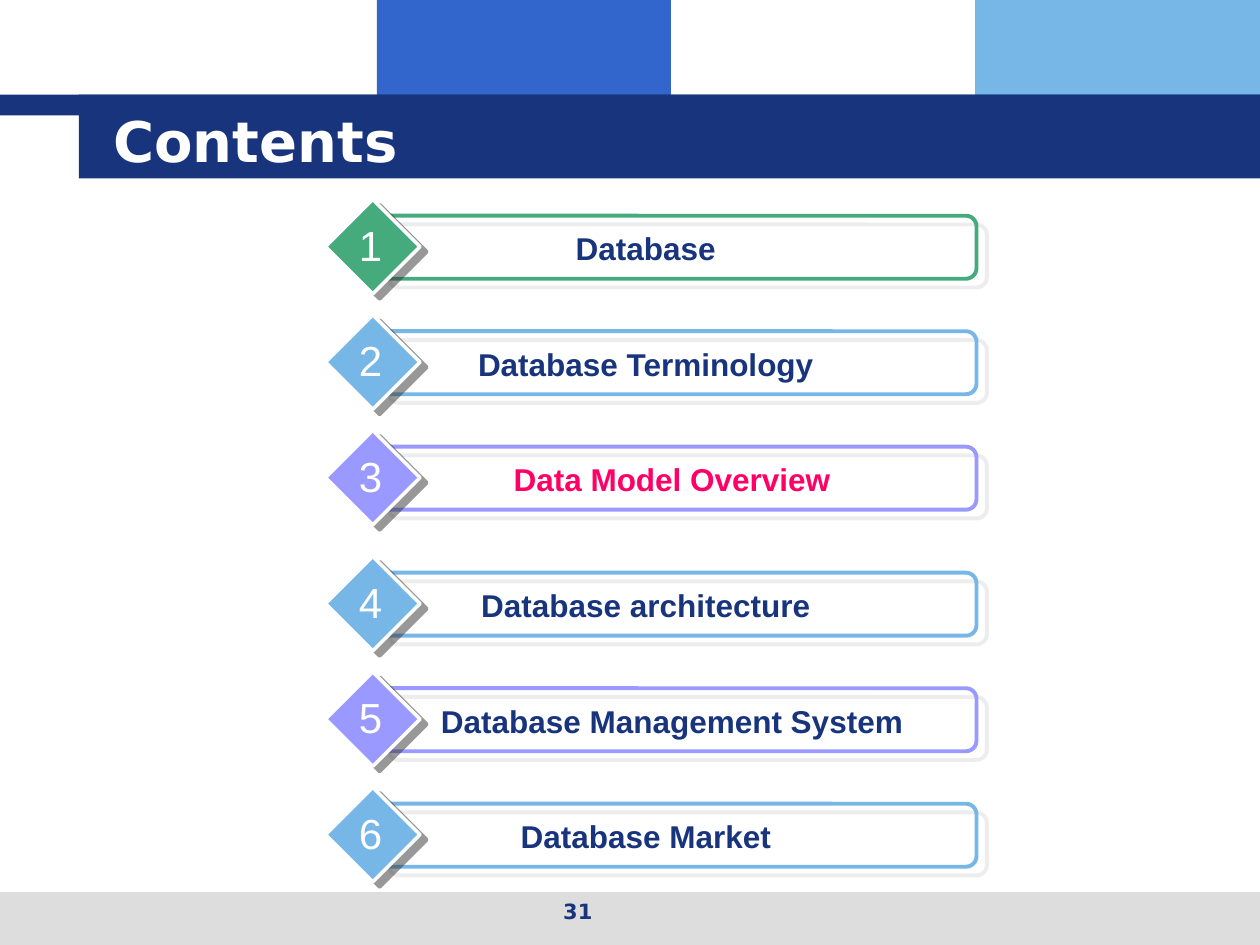
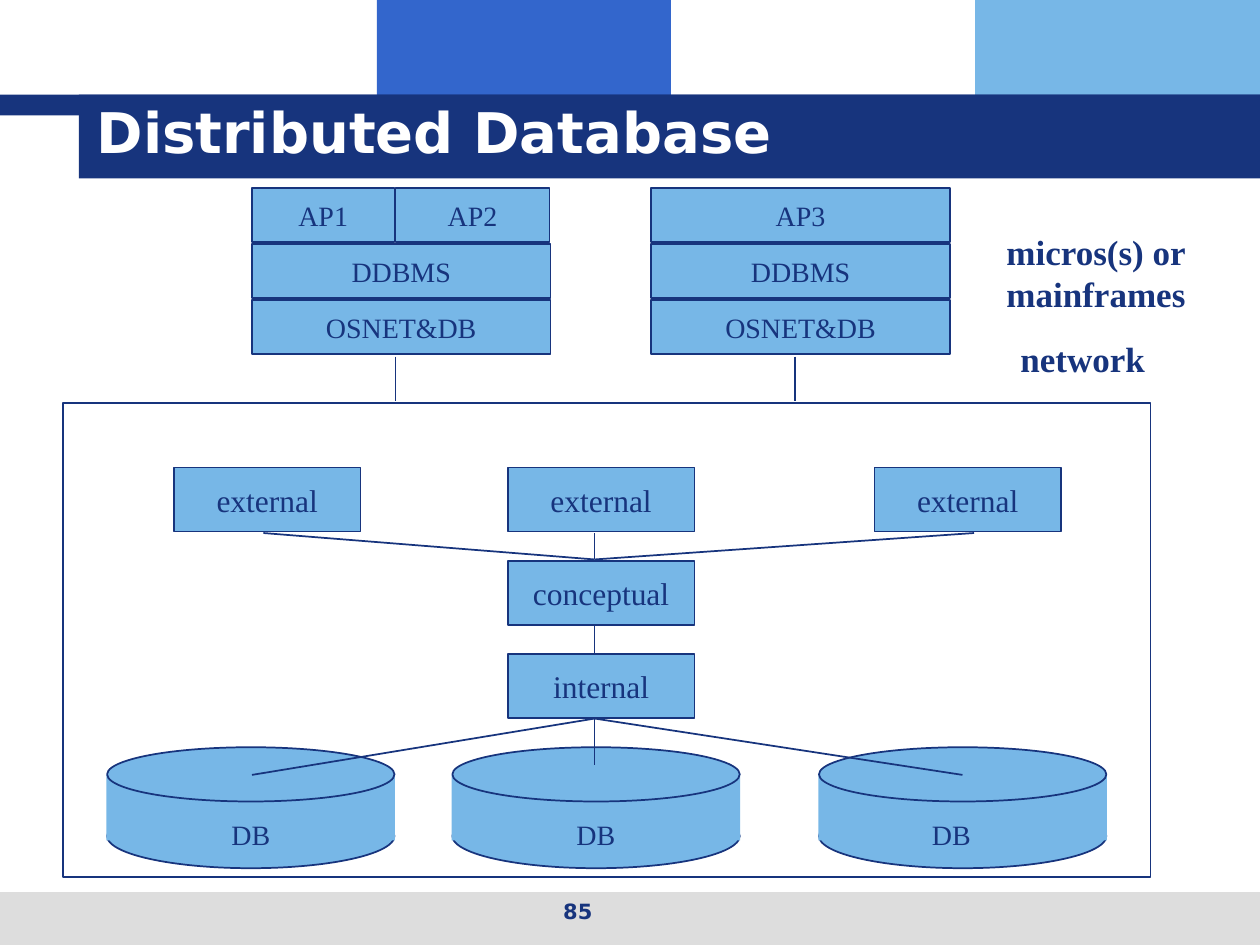
"""Build the contents slide and the distributed database diagram."""
from lxml.etree import SubElement
from pptx import Presentation
from pptx.dml.color import RGBColor
from pptx.enum.shapes import MSO_CONNECTOR, MSO_SHAPE
from pptx.enum.text import MSO_ANCHOR, MSO_AUTO_SIZE, PP_ALIGN
from pptx.oxml.ns import qn
from pptx.util import Pt

NAVY, BLUE, SKY, GREY, WHITE = "17347D", "3366CC", "77B7E7", "DDDDDD", "FFFFFF"
GREEN, VIOLET, PINK = "45AB7D", "9999FF", "FF0066"

TITLE = {"name": "DejaVu Sans", "size": Pt(32), "bold": True}
PAGE_NUMBER = {"name": "DejaVu Sans", "size": Pt(12), "bold": True}
TOPIC = {"name": "Arial", "size": Pt(18), "bold": True}
DIGIT = {"name": "Arial", "size": Pt(24), "bold": False}
LAYER = {"name": "Times New Roman", "size": Pt(16), "bold": False}
SCHEMA = {"name": "Times New Roman", "size": Pt(18), "bold": False}
NOTE = {"name": "Times New Roman", "size": Pt(20), "bold": True}


def color(hex_string):
    return RGBColor.from_string(hex_string)


def points(*values):
    return [Pt(value) for value in values]


class Deck:
    def __init__(self):
        self.presentation = Presentation()
        self.presentation.slide_width, self.presentation.slide_height = points(720, 540)
        self.layout = self.presentation.slide_layouts[5]
        self.slide = None

    def start_slide(self, title, title_box, number):
        is_first = self.slide is None
        self.slide = self.presentation.slides.add_slide(self.layout)
        if is_first:
            self.move_bands_to_layout()
        placeholder = self.slide.shapes.title
        names = ("left", "top", "width", "height")
        for name, value in zip(names, points(*title_box)):
            setattr(placeholder, name, value)
        self.set_text(placeholder, title, TITLE, WHITE, PP_ALIGN.LEFT)
        placeholder.text_frame.auto_size = MSO_AUTO_SIZE.NONE
        placeholder.text_frame.vertical_anchor = MSO_ANCHOR.MIDDLE
        self.text((246.2, 509.8, 168, 25.2), number, PAGE_NUMBER, grow=False)

    def move_bands_to_layout(self):
        bands = [
            ((215.4, 0, 168, 66), BLUE),
            ((557.2, 0, 162.8, 66), SKY),
            ((0, 509.8, 720, 30.2), GREY),
            ((0, 54, 720, 12), NAVY),
            ((45, 54, 675, 48), NAVY),
        ]
        for position, (box, fill) in enumerate(bands, start=2):
            band = self.shape(MSO_SHAPE.RECTANGLE, box, fill)
            self.layout.shapes.element.insert(position, band.element)

    def set_text(self, shape, text, style, text_color=NAVY, align=PP_ALIGN.CENTER,
                 space_before=0, wrap=True):
        frame = shape.text_frame
        frame.word_wrap = wrap
        paragraph = frame.paragraphs[0]
        paragraph.alignment = align
        paragraph.space_before = Pt(space_before)
        run = paragraph.add_run()
        run.text = text
        for name, value in style.items():
            setattr(run.font, name, value)
        run.font.color.rgb = color(text_color)

    def text(self, box, text, style, grow=True, **options):
        shape = self.slide.shapes.add_textbox(*points(*box))
        self.set_text(shape, text, style, **options)
        if grow:
            shape.text_frame.auto_size = MSO_AUTO_SIZE.SHAPE_TO_FIT_TEXT

    def shape(self, kind, box, fill=None, line=None, line_width=1):
        shape = self.slide.shapes.add_shape(kind, *points(*box))
        shape.shadow.inherit = False
        if fill:
            shape.fill.solid()
            shape.fill.fore_color.rgb = color(fill)
        else:
            shape.fill.background()
        if line:
            shape.line.color.rgb = color(line)
            shape.line.width = Pt(line_width)
        else:
            shape.line.fill.background()
        return shape

    def cast_shadow(self, shape, shadow_color, distance, degrees):
        effects = shape.element.spPr.find(qn("a:effectLst"))
        shadow = SubElement(effects, qn("a:outerShdw"), blurRad="0",
                            dist=str(Pt(distance)), dir=str(degrees * 60000),
                            algn="ctr", rotWithShape="0")
        tint = SubElement(shadow, qn("a:srgbClr"), val=shadow_color)
        SubElement(tint, qn("a:alpha"), val="50000")

    def labelled_box(self, box, label, style):
        shape = self.shape(MSO_SHAPE.RECTANGLE, box, SKY, NAVY)
        self.set_text(shape, label, style, wrap=False)
        shape.text_frame.vertical_anchor = MSO_ANCHOR.MIDDLE

    def line(self, start, end):
        connector = self.slide.shapes.add_connector(
            MSO_CONNECTOR.STRAIGHT, *points(*start, *end))
        connector.line.color.rgb = color(NAVY)
        connector.line.width = Pt(1)
        SubElement(connector.element.spPr, qn("a:effectLst"))

    def topic_row(self, top, number, topic, accent, topic_color, topic_width):
        bar = self.shape(MSO_SHAPE.ROUNDED_RECTANGLE, (216, top, 342, 36),
                         line=accent, line_width=2.25)
        self.cast_shadow(bar, GREY, 7.8, 40)
        diamond = self.shape(MSO_SHAPE.DIAMOND, (186, top - 9.4, 54, 54),
                             accent, WHITE, 2)
        self.cast_shadow(diamond, "333333", 5, 37)
        self.text((234, top + 4.3, topic_width, 28.8), topic, TOPIC,
                  text_color=topic_color)
        self.text((198, top - 1.6, 27, 36), str(number), DIGIT,
                  text_color=WHITE, wrap=False)

    def cylinder(self, left, label_left):
        self.shape(MSO_SHAPE.OVAL, (left, 459.4, 164.2, 36.7), SKY, NAVY)
        self.shape(MSO_SHAPE.RECTANGLE, (left - 0.4, 442.8, 164.9, 37.4), SKY)
        self.shape(MSO_SHAPE.OVAL, (left, 427, 164.2, 31), SKY, NAVY)
        self.text((label_left, 463.7, 51.8, 25.9), "DB", LAYER, space_before=10)


def build_contents(deck):
    deck.start_slide("Contents", (57.6, 57.6, 614.2, 44.6), "31")
    topics = [
        ("Database", GREEN, NAVY, 270),
        ("Database Terminology", SKY, NAVY, 270),
        ("Data Model Overview", VIOLET, PINK, 300),
        ("Database architecture", SKY, NAVY, 270),
        ("Database Management System", VIOLET, NAVY, 300),
        ("Database Market", SKY, NAVY, 270),
    ]
    for index, (topic, accent, topic_color, width) in enumerate(topics):
        top = 123.3 + 66 * index + (6 if index > 2 else 0)
        deck.topic_row(top, index + 1, topic, accent, topic_color, width)


def build_distributed_database(deck):
    deck.start_slide("Distributed Database", (48, 42, 672, 66), "85")
    deck.shape(MSO_SHAPE.RECTANGLE, (36, 230.4, 621.4, 270.7), WHITE, NAVY)

    layer_top, layer_step, layer_height = 107.3, 32, 31
    programs = [("AP1", 144, 81.4), ("AP2", 226, 88), ("AP3", 372.2, 170.6)]
    for label, left, width in programs:
        deck.labelled_box((left, layer_top, width, layer_height), label, LAYER)
    for left, link in ((144, 226), (372.2, 454.3)):
        for row, label in enumerate(("DDBMS", "OSNET&DB"), start=1):
            top = layer_top + layer_step * row
            deck.labelled_box((left, top, 170.6, layer_height), label, LAYER)
        deck.line((link, 203.8), (link, 229))

    notes = [((568, 128.2, 134, 54.7), "micros(s) or mainframes"),
             ((576, 189.4, 108.7, 31), "network")]
    for box, label in notes:
        deck.text(box, label, NOTE, align=PP_ALIGN.LEFT, space_before=12.5)

    for left, label_left in ((61.2, 117.4), (258.5, 314.6), (468, 517.7)):
        deck.cylinder(left, label_left)

    schema_top, schema_step, schema_left = 267.1, 53.3, 290.2
    schemas = [("external", 99.4, 0), ("external", schema_left, 0),
               ("external", 499.7, 0), ("conceptual", schema_left, 1),
               ("internal", schema_left, 2)]
    for label, left, row in schemas:
        top = schema_top + schema_step * row
        deck.labelled_box((left, top, 106.6, 36.7), label, SCHEMA)

    hub = 339.8
    for left in (150.5, hub, 556.6):
        deck.line((left, 304.6), (hub, 319.7))
    deck.line((hub, 357.8), (hub, 373))
    for end in ((144, 442.8), (hub, 437), (550, 442.8)):
        deck.line((hub, 410.6), end)


def main():
    deck = Deck()
    build_contents(deck)
    build_distributed_database(deck)
    deck.presentation.save("out.pptx")


if __name__ == "__main__":
    main()
